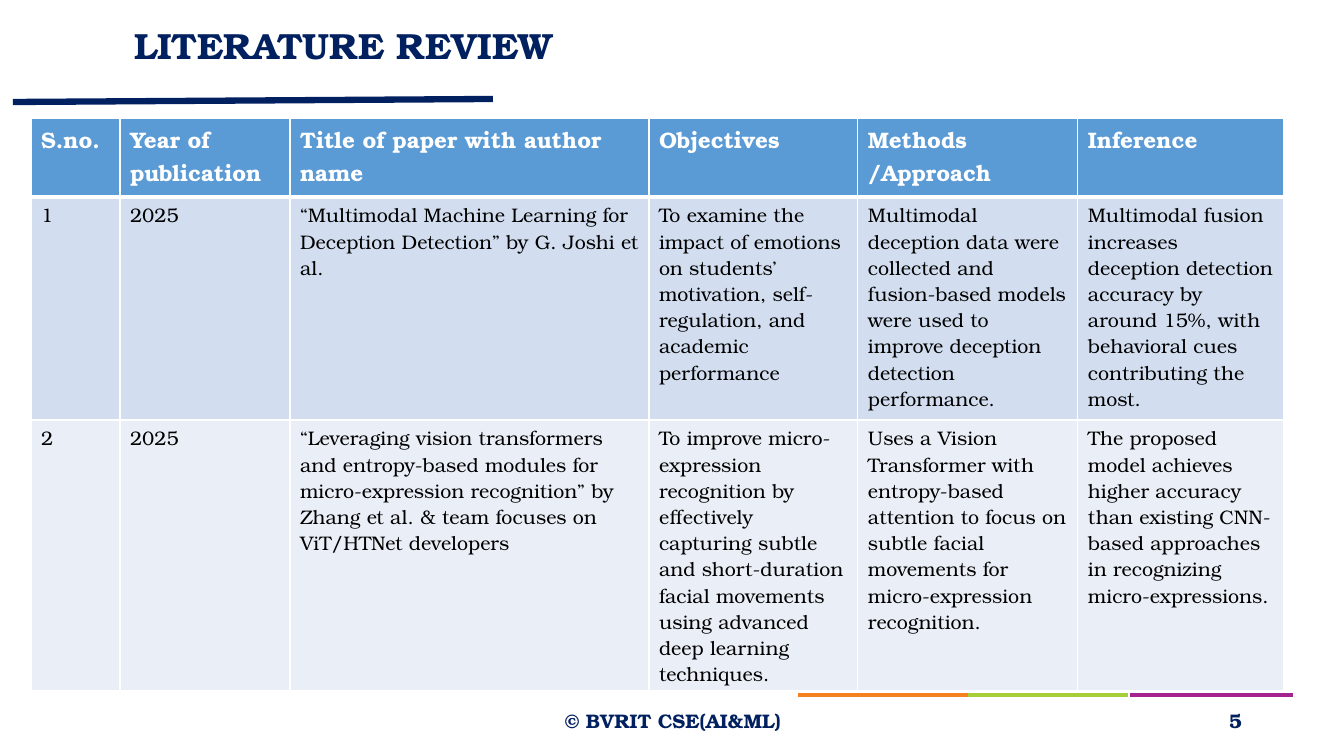
from dataclasses import dataclass
from typing import Any

from lxml import etree
from pptx import Presentation
from pptx import util as u
from pptx.dml.color import RGBColor
from pptx.enum import shapes, text
from pptx.oxml import ns

EMU_PER_PX = u.Inches(1) / 100.8


@dataclass(frozen=True)
class Theme:
    font: str = "TeX Gyre Bonum"
    navy: str = "002060"
    orange: str = "F58221"
    green: str = "A7CE39"
    purple: str = "A4238F"
    white: str = "FFFFFF"
    black: str = "000000"
    header_fill: str = "5B9BD5"
    row_fills: tuple[str, ...] = ("D2DEEF", "EAEFF7")
    title_size: int = 26
    header_size: int = 16
    body_size: int = 14


@dataclass(frozen=True)
class Rule:
    x1: int
    y1: int
    x2: int
    y2: int
    color: str
    width: float


@dataclass(frozen=True)
class Label:
    left: int
    width: int
    words: str
    align: Any


THEME = Theme()

RULES = (
    Rule(1130, 695, 1293, 695, THEME.purple, 2.25),
    Rule(959, 695, 1128, 695, THEME.green, 2.25),
    Rule(798, 695, 968, 695, THEME.orange, 2.25),
    Rule(13, 102, 493, 99, THEME.navy, 4.5),
)

FOOTER_TOP, FOOTER_HEIGHT = 701, 40
FOOTERS = (
    Label(446, 454, "© BVRIT CSE(AI&ML)", text.PP_ALIGN.CENTER),
    Label(950, 302, "5", text.PP_ALIGN.RIGHT),
)

TABLE_LEFT, TABLE_TOP = 31, 118
COLUMN_WIDTHS = (89, 170, 359, 209, 220, 206)
ROW_HEIGHTS = (79, 223, 271)
PAPERS = (
    ("S.no.", "Year of publication", "Title of paper with author name",
     "Objectives", "Methods /Approach", "Inference"),
    ("1", "2025",
     "“Multimodal Machine Learning for Deception Detection” by G. Joshi et al.",
     "To examine the impact of emotions on students’ motivation, "
     "self-regulation, and academic performance",
     "Multimodal deception data were collected and fusion-based models "
     "were used to improve deception detection performance.",
     "Multimodal fusion increases deception detection accuracy by around 15%, "
     "with behavioral cues contributing the most."),
    ("2", "2025",
     "“Leveraging vision transformers and entropy-based modules for "
     "micro-expression recognition” by Zhang et al. & team focuses on "
     "ViT/HTNet developers",
     "To improve micro-expression recognition by effectively capturing subtle "
     "and short-duration facial movements using advanced deep learning techniques.",
     "Uses a Vision Transformer with entropy-based attention to focus on subtle "
     "facial movements for micro-expression recognition.",
     "The proposed model achieves higher accuracy than existing CNN-based "
     "approaches in recognizing micro-expressions."),
)


def px(length: int) -> u.Emu:
    return u.Emu(round(length * EMU_PER_PX))


def apply_format(target: Any, values: dict[str, Any]) -> None:
    for name, value in values.items():
        setattr(target, name, value)


def write(frame: Any, words: str, size: int, color: str, bold: bool,
          **paragraph_format: Any) -> None:
    paragraph = frame.paragraphs[0]
    apply_format(paragraph, paragraph_format)
    run = paragraph.add_run()
    run.text = words
    apply_format(run.font, {"name": THEME.font, "size": u.Pt(size), "bold": bold})
    run.font.color.rgb = RGBColor.from_string(color)


def add_rule(slide: Any, rule: Rule) -> None:
    connector = slide.shapes.add_connector(
        shapes.MSO_CONNECTOR.STRAIGHT,
        px(rule.x1), px(rule.y1), px(rule.x2), px(rule.y2))
    connector.line.color.rgb = RGBColor.from_string(rule.color)
    connector.line.width = u.Pt(rule.width)
    etree.SubElement(connector._element.spPr, ns.qn("a:effectLst"))


def add_title(slide: Any, words: str) -> None:
    title = slide.shapes.title
    apply_format(title, {"left": px(124), "top": px(15),
                         "width": px(1077), "height": px(66)})
    apply_format(title.text_frame, {"vertical_anchor": text.MSO_ANCHOR.MIDDLE,
                                    "auto_size": text.MSO_AUTO_SIZE.NONE,
                                    "word_wrap": True})
    write(title.text_frame, words, THEME.title_size, THEME.navy, True,
          alignment=text.PP_ALIGN.LEFT, line_spacing=0.9)


def add_footer(slide: Any, label: Label) -> None:
    box = slide.shapes.add_textbox(px(label.left), px(FOOTER_TOP),
                                   px(label.width), px(FOOTER_HEIGHT))
    apply_format(box.text_frame, {"vertical_anchor": text.MSO_ANCHOR.MIDDLE,
                                  "word_wrap": True})
    write(box.text_frame, label.words, THEME.body_size, THEME.navy, True,
          alignment=label.align)


def add_borders(cell: Any, top: int, bottom: int) -> None:
    properties = cell._tc.get_or_add_tcPr()
    for side, points in {"lnL": 1, "lnR": 1, "lnT": top, "lnB": bottom}.items():
        line = etree.SubElement(properties, ns.qn(f"a:{side}"), w=str(u.Pt(points)))
        fill = etree.SubElement(line, ns.qn("a:solidFill"))
        etree.SubElement(fill, ns.qn("a:srgbClr"), val=THEME.white)


def add_paper_table(slide: Any) -> None:
    table = slide.shapes.add_table(
        len(ROW_HEIGHTS), len(COLUMN_WIDTHS), px(TABLE_LEFT), px(TABLE_TOP),
        px(sum(COLUMN_WIDTHS)), px(sum(ROW_HEIGHTS))).table
    for column, width in zip(table.columns, COLUMN_WIDTHS):
        column.width = px(width)
    for index, (row, height, entries) in enumerate(
            zip(table.rows, ROW_HEIGHTS, PAPERS)):
        row.height = px(height)
        header = index == 0
        fill = THEME.header_fill if header else THEME.row_fills[(index - 1) % 2]
        size = THEME.header_size if header else THEME.body_size
        color = THEME.white if header else THEME.black
        for cell, words in zip(row.cells, entries):
            add_borders(cell, top=3 if index == 1 else 1, bottom=3 if header else 1)
            cell.fill.solid()
            cell.fill.fore_color.rgb = RGBColor.from_string(fill)
            write(cell.text_frame, words, size, color, header)


def main() -> None:
    presentation = Presentation()
    apply_format(presentation, {"slide_width": px(1344), "slide_height": px(756)})
    slide = presentation.slides.add_slide(
        presentation.slide_layouts.get_by_name("Title Only"))

    # Accent rules
    for rule in RULES:
        add_rule(slide, rule)

    # Title and footer
    add_title(slide, "LITERATURE REVIEW")
    for label in FOOTERS:
        add_footer(slide, label)

    # Reviewed papers
    add_paper_table(slide)
    presentation.save("out.pptx")


if __name__ == "__main__":
    main()
